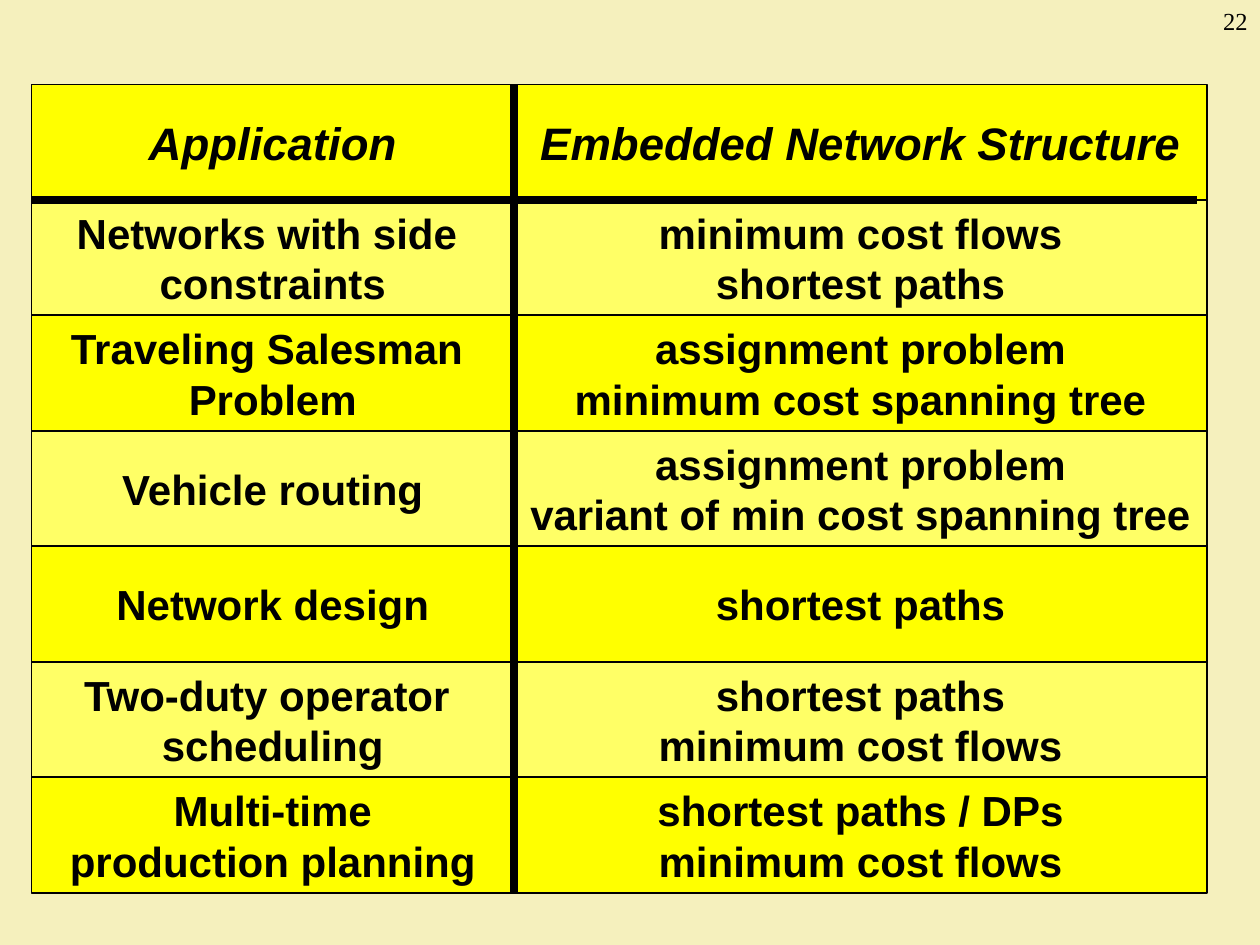
"""Build the slide that pairs applications with their embedded network structures."""
from dataclasses import dataclass

from lxml import etree
from pptx import Presentation
from pptx import util as u
from pptx.dml.color import RGBColor
from pptx.enum import shapes, text
from pptx.oxml.ns import qn

BLACK, YELLOW, PALE, CREAM = "000000", "FFFF00", "FFFF66", "F5F0BD"
LEFT, TOP = 0.25, 0.67
FIRST_WIDTH, SECOND_WIDTH = 3.83, 5.5
ROW_HEIGHT = 11 / 12
MIDDLE = LEFT + FIRST_WIDTH


@dataclass
class Row:
    application: str
    structure: str


HEADER = Row("Application", "Embedded Network Structure")
ROWS = [
    Row("Networks with side \nconstraints", "minimum cost flows\nshortest paths"),
    Row("Traveling Salesman \nProblem", "assignment problem\nminimum cost spanning tree"),
    Row("Vehicle routing", "assignment problem\nvariant of min cost spanning tree"),
    Row("Network design", "shortest paths"),
    Row("Two-duty operator \nscheduling", "shortest paths\nminimum cost flows"),
    Row("Multi-time\nproduction planning", "shortest paths / DPs\nminimum cost flows"),
]


def paint(color_format, value: str) -> None:
    """Set a colour from a hex string."""
    color_format.rgb = RGBColor.from_string(value)


def write(frame, words: str, *, size: float, font: str = "Arial", bold: bool = False,
          italic: bool = False, align=text.PP_ALIGN.CENTER) -> None:
    """Write one formatted paragraph, with line breaks at newlines."""
    para = frame.paragraphs[0]
    para.text = words
    para.alignment = align
    for span in para.runs:
        span.font.name, span.font.size = font, u.Pt(size)
        span.font.bold, span.font.italic = bold, italic
        paint(span.font.color, BLACK)


def draw_cell(page, left: float, top: float, width: float, fill: str,
              words: str, size: float, italic: bool) -> None:
    """Draw one outlined cell with centred text."""
    box = page.shapes.add_shape(
        shapes.MSO_SHAPE.RECTANGLE,
        u.Inches(left), u.Inches(top), u.Inches(width), u.Inches(ROW_HEIGHT))
    box.shadow.inherit = False
    box.fill.solid()
    paint(box.fill.fore_color, fill)
    paint(box.line.color, BLACK)
    box.line.width = u.Pt(1)
    box.text_frame.word_wrap = False
    box.text_frame.vertical_anchor = text.MSO_ANCHOR.MIDDLE
    write(box.text_frame, words, size=size, bold=True, italic=italic)


def draw_row(page, index: int, row: Row) -> None:
    """Draw both cells of a row, the first row as the header."""
    top = TOP + index * ROW_HEIGHT
    fill = PALE if index % 2 else YELLOW
    size, italic = (24, False) if index else (26, True)
    draw_cell(page, LEFT, top, FIRST_WIDTH, fill, row.application, size, italic)
    draw_cell(page, MIDDLE, top, SECOND_WIDTH, fill, row.structure, size, italic)


def draw_rule(page, x1: float, y1: float, x2: float, y2: float) -> None:
    """Draw a thick straight rule."""
    rule = page.shapes.add_connector(
        shapes.MSO_CONNECTOR.STRAIGHT,
        u.Inches(x1), u.Inches(y1), u.Inches(x2), u.Inches(y2))
    paint(rule.line.color, BLACK)
    rule.line.width = u.Pt(4.5)
    etree.SubElement(rule._element.spPr, qn("a:effectLst"))


def main() -> None:
    """Build and save the deck."""
    deck = Presentation()
    deck.slide_width, deck.slide_height = u.Inches(10), u.Inches(7.5)
    page = deck.slides.add_slide(deck.slide_layouts[6])
    page.background.fill.solid()
    paint(page.background.fill.fore_color, CREAM)

    table = [HEADER, *ROWS]
    for index, row in enumerate(table):
        draw_row(page, index, row)
    header_bottom = TOP + ROW_HEIGHT
    draw_rule(page, LEFT, header_bottom, 9.5, header_bottom)
    draw_rule(page, MIDDLE, TOP, MIDDLE, TOP + len(table) * ROW_HEIGHT)

    number = page.shapes.add_textbox(
        u.Inches(9.17), u.Inches(0), u.Inches(0.83), u.Inches(0.5))
    number.text_frame.word_wrap = True
    write(number.text_frame, "22", size=14, font="Times New Roman",
          align=text.PP_ALIGN.RIGHT)
    deck.save("out.pptx")


if __name__ == "__main__":
    main()
